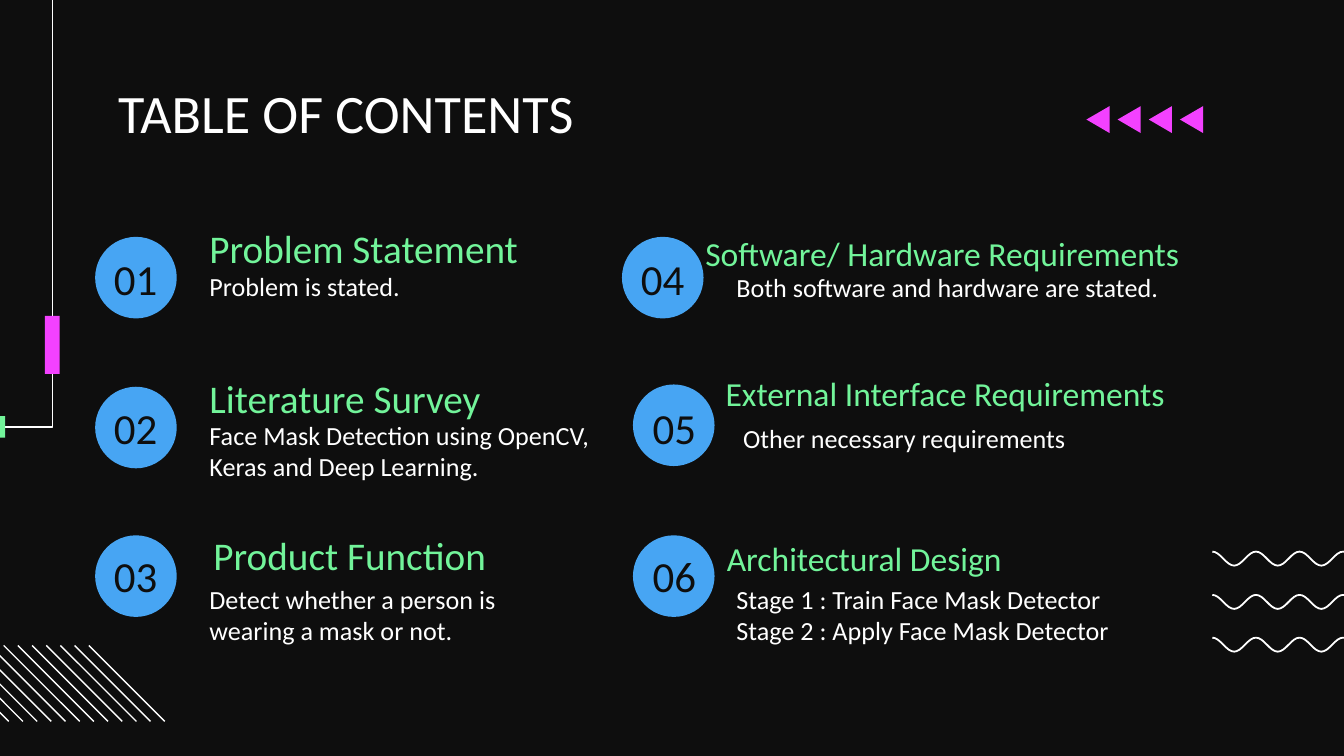
from dataclasses import dataclass
from math import cos, pi

from lxml import etree
from pptx import Presentation
from pptx.dml.color import RGBColor
from pptx.enum import shapes as sh, text as tx
from pptx.oxml import ns
from pptx.util import Pt

BLACK, WHITE = "0E0E0E", "FFFFFF"
BLUE, GREEN, PINK = "47A5F3", "72F49A", "F341FF"
DISC = 43.7


@dataclass
class Item:
    num: str
    disc: tuple[float, float]  # left, top
    label: tuple[float, float]  # left, top
    head: str
    size: float
    head_box: tuple[float, float, float, float]
    note: str
    note_box: tuple[float, float, float, float]


ITEMS = [
    Item("01", (51, 126.9), (40.3, 121), "Problem Statement", 21,
         (105.1, 116.6, 227.5, 28.1), "Problem is stated.", (105.1, 144.7, 185, 43.2)),
    Item("02", (51, 207.2), (40.3, 200.9), "Literature Survey", 21,
         (105.1, 196.6, 227.5, 28.1),
         "Face Mask Detection using OpenCV, Keras and Deep Learning.",
         (105.1, 224.6, 239, 43.2)),
    Item("03", (51, 286.8), (40.3, 280.1), "Product Function", 21,
         (107.3, 280.8, 227.5, 28.1),
         "Detect whether a person is wearing a mask or not.",
         (105.1, 312.5, 185, 43.2)),
    Item("04", (333.2, 126.9), (322.6, 121), "Software/ Hardware Requirements", 18,
         (370.8, 121.7, 347.8, 54), "Both software and hardware are stated.",
         (387.4, 145.4, 298, 33.1)),
    Item("05", (339.1, 206), (329, 200.9), "External Interface Requirements", 18,
         (381.6, 196.6, 337, 47.5), "Other necessary requirements",
         (391, 226.1, 208.8, 43.2)),
    Item("06", (339.1, 286.8), (329, 280.1), "Architectural Design", 18,
         (382.3, 285.1, 266.4, 20.9),
         "Stage 1 : Train Face Mask Detector\nStage 2 : Apply Face Mask Detector",
         (387.4, 312.5, 249.8, 43.2)),
]


def tint(code: str) -> RGBColor:
    return RGBColor.from_string(code)


def paint(shape, fill: str | None = None, line: str | None = None, width: float = 0.75) -> None:
    shape.shadow.inherit = False
    if fill:
        shape.fill.solid()
        shape.fill.fore_color.rgb = tint(fill)
    else:
        shape.fill.background()
    if line:
        shape.line.color.rgb = tint(line)
        shape.line.width = Pt(width)
    else:
        shape.line.fill.background()


def preset(slide, kind, box: tuple, fill: str) -> None:
    paint(slide.shapes.add_shape(kind, *map(Pt, box)), fill)


def outline(slide, pts: list, close: bool = False, **look) -> None:
    pts = [(Pt(x), Pt(y)) for x, y in pts]
    form = slide.shapes.build_freeform(*pts[0], scale=1.0)
    form.add_line_segments(pts[1:], close=close)
    paint(form.convert_to_shape(), **look)


def rule(slide, x1: float, y1: float, x2: float, y2: float) -> None:
    line = slide.shapes.add_connector(
        sh.MSO_CONNECTOR.STRAIGHT, Pt(x1), Pt(y1), Pt(x2), Pt(y2))
    line.line.color.rgb = tint(WHITE)
    line.line.width = Pt(0.75)
    etree.SubElement(line._element.spPr, ns.qn("a:effectLst"))


def write(slide, words: str, box: tuple, *, size: float, color: str, top: float = 0,
          align=tx.PP_ALIGN.LEFT, lead: float = 1.0, after: float = 0) -> None:
    frame = slide.shapes.add_textbox(*map(Pt, box)).text_frame
    frame.word_wrap = True
    frame.vertical_anchor = tx.MSO_ANCHOR.TOP
    frame.margin_left = frame.margin_right = frame.margin_bottom = Pt(7.2)
    frame.margin_top = Pt(top)
    frame.text = words
    for par in frame.paragraphs:
        par.alignment = align
        par.line_spacing = lead
        par.space_after = Pt(after)
        for run in par.runs:
            run.font.name = "Calibri"
            run.font.size = Pt(size)
            run.font.color.rgb = tint(color)


def draw(slide, item: Item) -> None:
    preset(slide, sh.MSO_SHAPE.OVAL, (*item.disc, DISC, DISC), BLUE)
    write(slide, item.num, (*item.label, 64.8, 43.9), size=23, color=BLACK,
          top=14.4, align=tx.PP_ALIGN.CENTER)
    write(slide, item.head, item.head_box, size=item.size, color=GREEN,
          lead=1.15, after=12)
    write(slide, item.note, item.note_box, size=14, color=WHITE)


def main() -> None:
    deck = Presentation()
    deck.slide_width, deck.slide_height = Pt(720), Pt(405)
    slide = deck.slides.add_slide(deck.slide_layouts[6])
    slide.background.fill.solid()
    slide.background.fill.fore_color.rgb = tint(BLACK)

    # Waves: seven half periods, eight steps each
    half, steps = 11.68, 8
    for top in (295.5, 318.7, 341.6):
        wave = [(649.5 + half * i / steps, top + 3.75 * (1 - cos(pi * i / steps)))
                for i in range(7 * steps + 1)]
        outline(slide, wave, line=WHITE, width=0.95)

    # Diagonal hatching
    for i in range(12):
        left = -36 + 7.6 * i
        rule(slide, left, 345.8, left + 40.7, 386.5)

    # Side frame with its two markers
    outline(slide, [(-283, 228.7), (28.1, 228.7), (28.1, -15.8)], line=WHITE)
    preset(slide, sh.MSO_SHAPE.RECTANGLE, (-8.8, 223, 11.5, 11.5), GREEN)
    preset(slide, sh.MSO_SHAPE.RECTANGLE, (24.1, 169.3, 7.9, 31), PINK)

    # Title and contents
    write(slide, "TABLE OF CONTENTS", (56.2, 42.8, 607.7, 33.1), size=29, color=WHITE)
    for item in ITEMS:
        draw(slide, item)

    # Row of arrows pointing left
    for i in range(4):
        left = 582 + 16.7 * i
        outline(slide, [(left + 12.4, 56.9), (left, 64.1), (left + 12.4, 71.3)],
                close=True, fill=PINK)

    deck.save("out.pptx")


if __name__ == "__main__":
    main()
